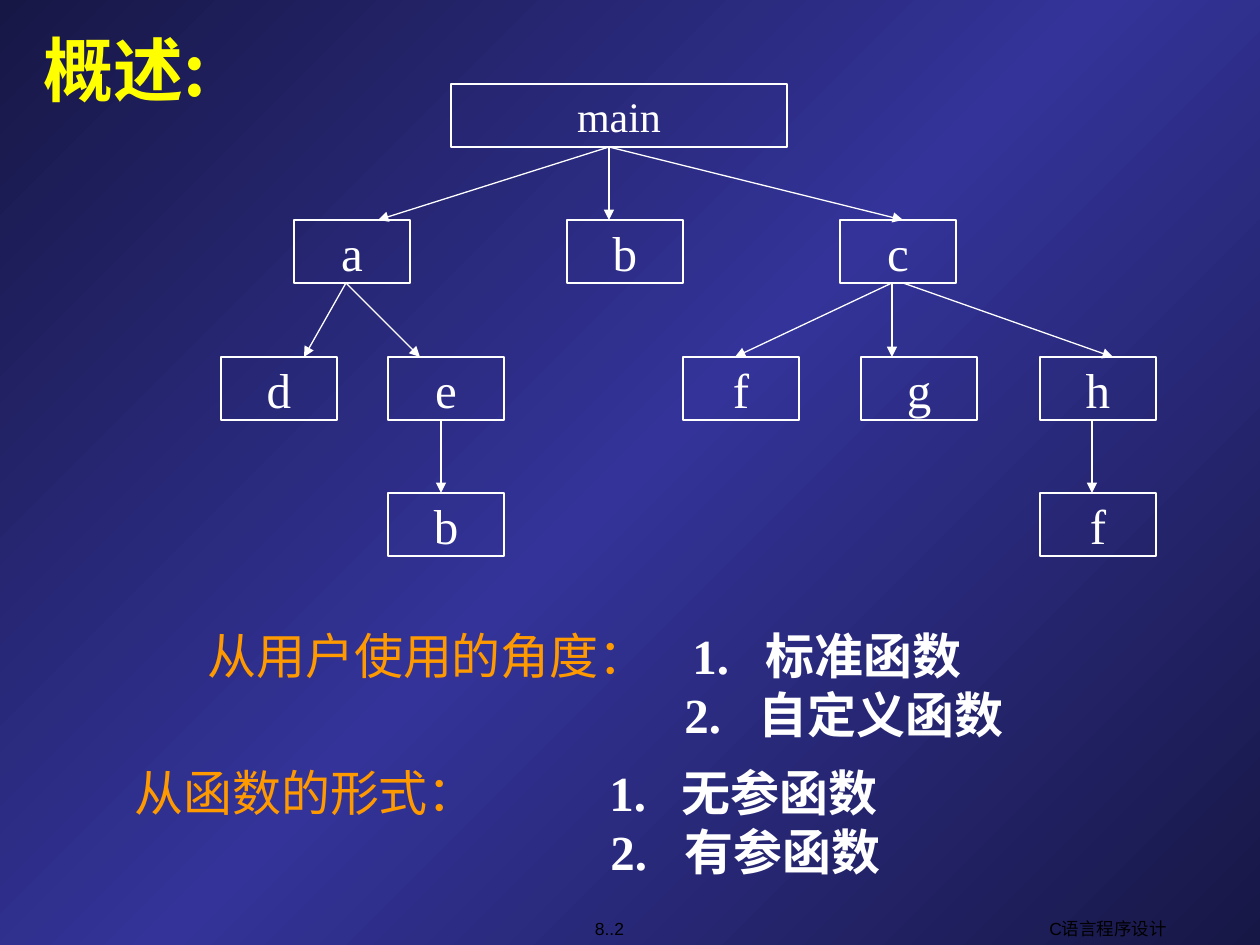
"""Build the function call tree overview slide."""
from copy import deepcopy
from typing import NamedTuple

from lxml.etree import SubElement
from pptx import Presentation
from pptx.dml.color import RGBColor
from pptx.enum.shapes import MSO_CONNECTOR, MSO_SHAPE
from pptx.enum.text import MSO_ANCHOR as ANCHOR, MSO_AUTO_SIZE as AUTO, PP_ALIGN as ALIGN
from pptx.oxml.ns import qn
from pptx.util import Emu, Pt

SCALE = 914400 / 126
BOX_W, BOX_H = 116, 63
COLORS = {"edge": "171746", "mid": "333399", "title": "FFFF00",
          "label": "FF9900", "ink": "FFFFFF", "footer": "000000"}
SERIF, SANS, CJK = "Times New Roman", "Arial", "Noto Sans CJK SC"


class Node(NamedTuple):
    name: str
    x: int
    row: int
    w: int = BOX_W
    size: int = 28


class Arrow(NamedTuple):
    row: int
    x1: int
    x2: int


class Item(NamedTuple):
    label: str
    number: str
    text: str
    tabs: tuple[int, int]


class Group(NamedTuple):
    x: int
    y: int
    w: int
    items: tuple[Item, Item]


class Footer(NamedTuple):
    text: str
    x: int
    w: int


NODES = [
    Node("main", 451, 0, 336, 24),
    Node("a", 294, 1), Node("b", 567, 1), Node("c", 840, 1),
    Node("d", 221, 2), Node("e", 388, 2), Node("f", 683, 2), Node("g", 861, 2), Node("h", 1040, 2),
    Node("b", 388, 3), Node("f", 1040, 3),
]
ARROWS = [
    Arrow(0, 609, 609), Arrow(0, 609, 378), Arrow(0, 609, 903),
    Arrow(1, 346, 304), Arrow(1, 346, 420),
    Arrow(1, 892, 892), Arrow(1, 892, 735), Arrow(1, 903, 1113),
    Arrow(2, 441, 441), Arrow(2, 1092, 1092),
]
GROUPS = [
    Group(195, 619, 880, (Item("从用户使用的角度：", "1.", "标准函数", (485, 558)),
                          Item("", "2.", "自定义函数", (477, 551)))),
    Group(122, 756, 917, (Item("从函数的形式：", "1.", "无参函数", (475, 547)),
                          Item("", "2.", "有参函数", (476, 550)))),
]
FOOTERS = [Footer("8..2", 548, 123), Footer("C语言程序设计", 1008, 200)]


def px(n: float) -> Emu:
    return Emu(round(n * SCALE))


def row_top(row: int) -> int:
    return 84 + row * 273 // 2


def color(key: str) -> RGBColor:
    return RGBColor.from_string(COLORS[key])


def style(r, size: int, key: str, name: str = SERIF, bold: bool = False) -> None:
    r.font.size, r.font.name, r.font.bold = Pt(size), name, bold
    r.font.color.rgb = color(key)


def paint_background(s) -> None:
    fill = s.background.fill
    fill.gradient()
    fill.gradient_angle = 135
    stops = next(s.element.iter(qn("a:gsLst")))
    stops.append(deepcopy(stops[-1]))
    for stop, position, key in zip(fill.gradient_stops, (0, 0.5, 1), ("edge", "mid", "edge")):
        stop.position = position
        stop.color.rgb = color(key)


def add_title(s, text: str) -> None:
    sp = s.shapes.title
    sp.left, sp.top, sp.width, sp.height = px(31), px(32), px(283), px(73)
    tf = sp.text_frame
    tf.text = text
    tf.auto_size, tf.vertical_anchor = AUTO.NONE, ANCHOR.MIDDLE
    p = tf.paragraphs[0]
    p.alignment = ALIGN.LEFT
    style(p.runs[0], 40, "title", CJK, True)
    SubElement(next(sp.element.iter(qn("a:rPr"))), qn("a:ea"), typeface=CJK)


def add_node(s, node: Node) -> None:
    sp = s.shapes.add_shape(MSO_SHAPE.RECTANGLE, px(node.x), px(row_top(node.row)),
                            px(node.w), px(BOX_H))
    sp.shadow.inherit = False
    sp.fill.background()
    sp.line.color.rgb, sp.line.width = color("ink"), Pt(0.75)
    tf = sp.text_frame
    tf.text = node.name
    tf.word_wrap, tf.vertical_anchor = False, ANCHOR.MIDDLE
    p = tf.paragraphs[0]
    p.alignment = ALIGN.CENTER
    style(p.runs[0], node.size, "ink")


def add_arrow(s, arrow: Arrow) -> None:
    cx = s.shapes.add_connector(MSO_CONNECTOR.STRAIGHT,
                                px(arrow.x1), px(row_top(arrow.row) + BOX_H),
                                px(arrow.x2), px(row_top(arrow.row + 1)))
    cx.line.color.rgb, cx.line.width = color("ink"), Pt(0.75)
    SubElement(next(cx.element.iter(qn("a:ln"))), qn("a:tailEnd"), type="triangle")
    SubElement(cx.element.spPr, qn("a:effectLst"))


def add_group(s, group: Group) -> None:
    tf = s.shapes.add_textbox(px(group.x), px(group.y), px(group.w), px(131)).text_frame
    tf.word_wrap = True
    tf.text = "\n".join(item.label for item in group.items)
    for p, item in zip(tf.paragraphs, group.items):
        tabs = SubElement(p._p.get_or_add_pPr(), qn("a:tabLst"))
        for stop in item.tabs:
            SubElement(tabs, qn("a:tab"), pos=str(px(stop)), algn="l")
        for r in p.runs:
            style(r, 28, "label")
        r = p.add_run()
        r.text = f"\t{item.number}\t{item.text}"
        style(r, 28, "ink", bold=True)


def add_footer(s, footer: Footer) -> None:
    tf = s.shapes.add_textbox(px(footer.x), px(911), px(footer.w), px(34)).text_frame
    tf.text = footer.text
    tf.word_wrap, tf.vertical_anchor = False, ANCHOR.MIDDLE
    p = tf.paragraphs[0]
    p.alignment = ALIGN.CENTER
    style(p.runs[0], 10, "footer", SANS)


def main() -> None:
    prs = Presentation()
    prs.slide_width, prs.slide_height = px(1260), px(945)
    s = prs.slides.add_slide(prs.slide_layouts[5])
    paint_background(s)
    add_title(s, "概述:")
    for draw, entries in ((add_footer, FOOTERS), (add_group, GROUPS),
                          (add_node, NODES), (add_arrow, ARROWS)):
        for entry in entries:
            draw(s, entry)
    prs.save("out.pptx")


if __name__ == "__main__":
    main()
